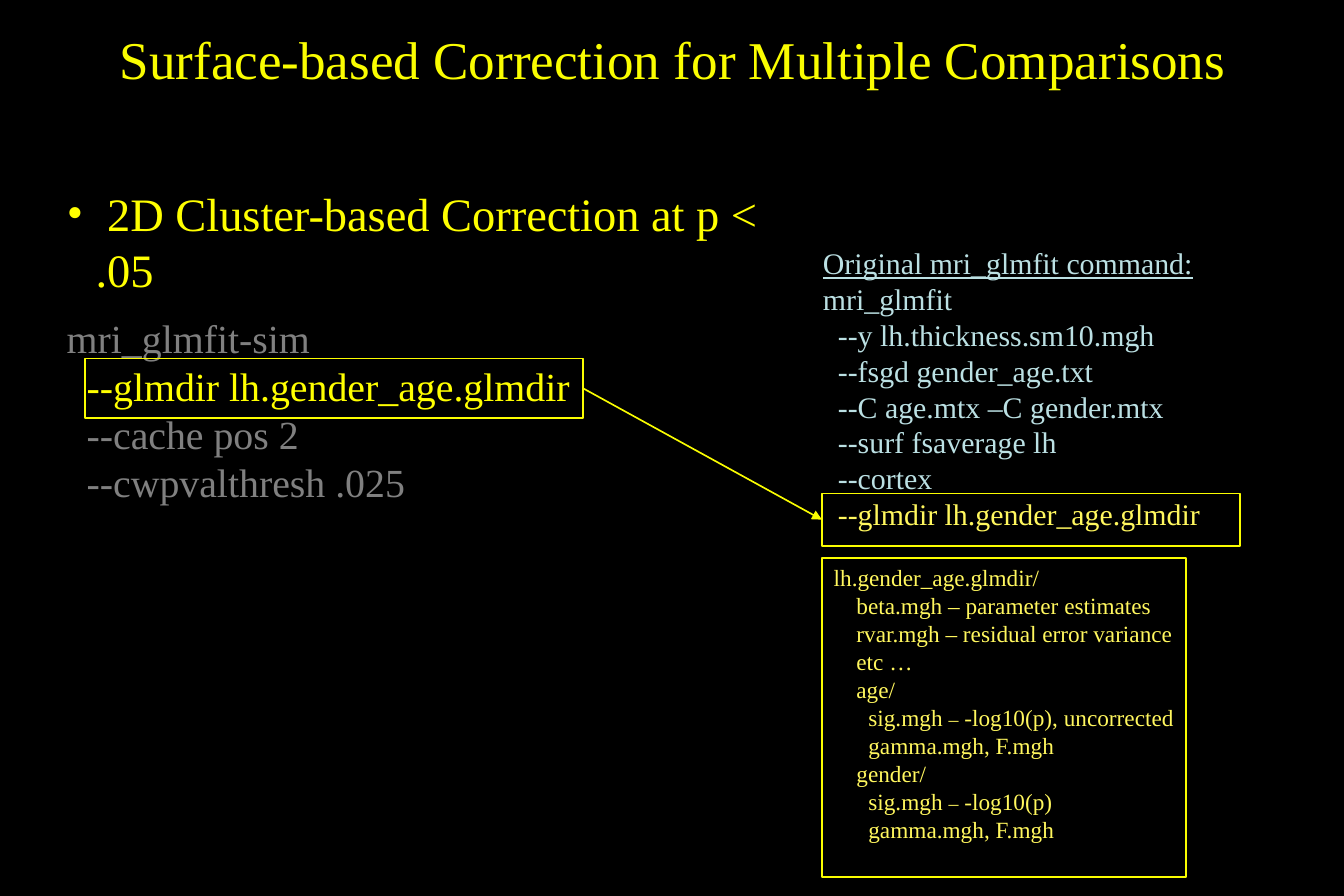
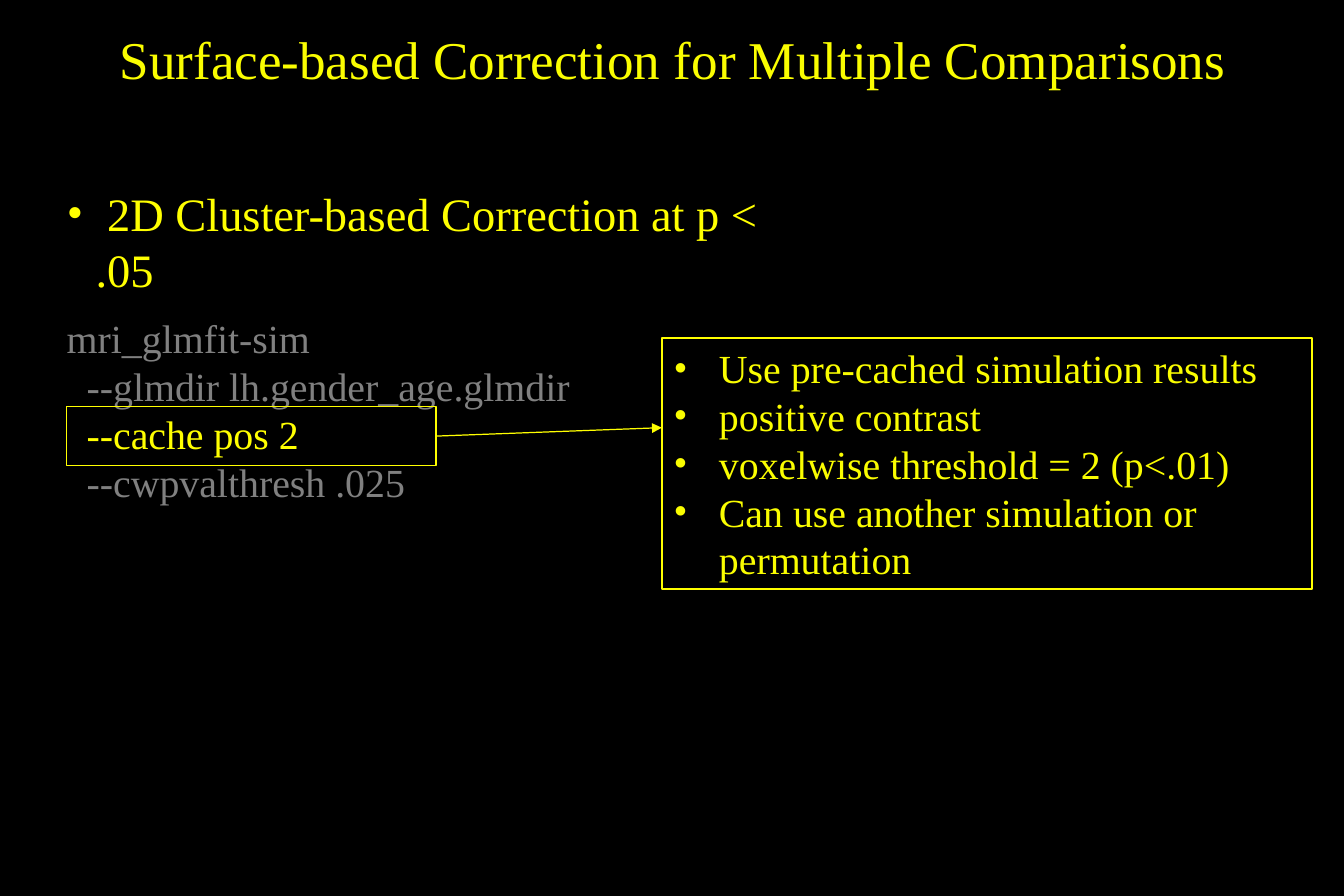
from dataclasses import dataclass
from typing import Optional, Sequence

from lxml import etree
from pptx import Presentation
from pptx.dml.color import RGBColor
from pptx.enum.shapes import MSO_CONNECTOR, MSO_SHAPE
from pptx.enum.text import MSO_ANCHOR, MSO_AUTO_SIZE, PP_ALIGN
from pptx.oxml.ns import qn
from pptx.util import Inches, Pt

TOP, MIDDLE = MSO_ANCHOR.TOP, MSO_ANCHOR.MIDDLE
LEFT, CENTER = PP_ALIGN.LEFT, PP_ALIGN.CENTER
RECT, STRAIGHT = MSO_SHAPE.RECTANGLE, MSO_CONNECTOR.STRAIGHT
NO_AUTOFIT = MSO_AUTO_SIZE.NONE


@dataclass(frozen=True)
class Theme:
    font: str = "Times New Roman"
    background: str = "000000"
    yellow: str = "FAFD00"
    bright: str = "FFFF00"
    pale: str = "FFF75E"
    blue: str = "BBE0E3"
    gray: str = "808080"
    title: int = 32
    heading: int = 28
    body: int = 24
    command: int = 18
    listing: int = 14
    dash: int = 12


THEME = Theme()


@dataclass(frozen=True)
class Box:
    left: float
    top: float
    width: float
    height: float

    def emu(self) -> list[int]:
        return [Inches(v) for v in (self.left, self.top, self.width, self.height)]


@dataclass(frozen=True)
class Span:
    text: str
    size: int
    color: str
    underline: bool = False


@dataclass(frozen=True)
class Para:
    spans: Sequence[Span]
    margin: float = 0
    bullet: Optional[str] = None
    align: PP_ALIGN = LEFT


TITLE = "Surface-based Correction for Multiple Comparisons"
HEADING = " 2D Cluster-based Correction at p < .05"
SIM_COMMAND = (
    "mri_glmfit-sim",
    "  --glmdir lh.gender_age.glmdir",
    "  --cache pos 2",
    "  --cwpvalthresh .025",
)
FIT_COMMAND = (
    "mri_glmfit",
    "  --y lh.thickness.sm10.mgh",
    "  --fsgd gender_age.txt",
    "  --C age.mtx –C gender.mtx",
    "  --surf fsaverage lh",
    "  --cortex",
)
OUTPUT_TREE = (
    (0, "lh.gender_age.glmdir/"),
    (0.19, "beta.mgh – parameter estimates"),
    (0.19, "rvar.mgh – residual error variance"),
    (0.19, "etc …"),
    (0.19, "age/"),
    (0.29, "sig.mgh – -log10(p), uncorrected"),
    (0.29, "gamma.mgh, F.mgh"),
    (0.19, "gender/"),
    (0.29, "sig.mgh – -log10(p)"),
    (0.29, "gamma.mgh, F.mgh"),
)
CACHE_NOTES = (
    "Use pre-cached simulation results",
    "positive contrast",
    "voxelwise threshold = 2 (p<.01)",
    "Can use another simulation or permutation",
)


def line(text: str, size: int, color: str, **layout) -> Para:
    """Make a paragraph with a single run."""
    return Para([Span(text, size, color)], **layout)


def set_indent(p, para: Para) -> None:
    pPr = p._p.get_or_add_pPr()
    margin = Inches(para.margin)
    pPr.set("marL", str(margin))
    pPr.set("indent", str(-margin if para.bullet else 0))
    if para.bullet:
        color = etree.SubElement(pPr, qn("a:buClr"))
        etree.SubElement(color, qn("a:srgbClr"), val=para.bullet)
        etree.SubElement(pPr, qn("a:buFont"), typeface=THEME.font)
        etree.SubElement(pPr, qn("a:buChar"), char="•")
    else:
        etree.SubElement(pPr, qn("a:buNone"))


def write(sp, paras: Sequence[Para], wrap: bool = True, anchor: MSO_ANCHOR = TOP) -> None:
    tf = sp.text_frame
    frame_format = {
        "auto_size": NO_AUTOFIT, "word_wrap": wrap, "vertical_anchor": anchor,
        "margin_left": Inches(0.1), "margin_right": Inches(0.1),
        "margin_top": Inches(0.05), "margin_bottom": Inches(0.05),
    }
    for name, value in frame_format.items():
        setattr(tf, name, value)
    for i, para in enumerate(paras):
        p = tf.paragraphs[0] if i == 0 else tf.add_paragraph()
        set_indent(p, para)
        p.alignment = para.align
        p.space_before = Pt(0)
        for span in para.spans:
            r = p.add_run()
            r.text = span.text
            run_format = {"name": THEME.font, "size": Pt(span.size), "underline": span.underline}
            for name, value in run_format.items():
                setattr(r.font, name, value)
            r.font.color.rgb = RGBColor.from_string(span.color)


def place(sp, box: Box) -> None:
    for name, value in zip(("left", "top", "width", "height"), box.emu()):
        setattr(sp, name, value)


def add_text(slide, box: Box, paras: Sequence[Para], anchor: MSO_ANCHOR = TOP) -> None:
    write(slide.shapes.add_textbox(*box.emu()), paras, anchor=anchor)


def add_frame(slide, box: Box, color: str, weight: float = 1,
              paras: Sequence[Para] = (), wrap: bool = True) -> None:
    """Draw an outlined rectangle, with text if given."""
    sp = slide.shapes.add_shape(RECT, *box.emu())
    sp.shadow.inherit = False
    sp.fill.background()
    sp.line.color.rgb = RGBColor.from_string(color)
    sp.line.width = Pt(weight)
    if paras:
        write(sp, paras, wrap)


def add_arrow(slide, start: tuple[float, float], end: tuple[float, float],
              color: str, weight: float = 1) -> None:
    sp = slide.shapes.add_connector(STRAIGHT, *(Inches(v) for v in (*start, *end)))
    sp.line.color.rgb = RGBColor.from_string(color)
    sp.line.width = Pt(weight)
    etree.SubElement(sp.line._get_or_add_ln(), qn("a:tailEnd"), type="triangle")
    etree.SubElement(sp._element.spPr, qn("a:effectLst"))


def add_base_slide(prs, highlight: int):
    """Add a slide with title, heading and the command, one line highlighted."""
    slide = prs.slides.add_slide(prs.slide_layouts[1])
    title, body = slide.shapes.title, slide.placeholders[1]
    place(title, Box(0.9, 0.17, 9.47, 0.63))
    write(title, [line(TITLE, THEME.title, THEME.yellow, align=CENTER)], wrap=False)
    place(body, Box(0.46, 1.5, 6.46, 0.57))
    write(body, [line(HEADING, THEME.heading, THEME.bright, margin=0.24, bullet=THEME.bright)])
    add_text(slide, Box(0.46, 2.58, 4.58, 1.7), [
        line(text, THEME.body, THEME.bright if i == highlight else THEME.gray)
        for i, text in enumerate(SIM_COMMAND)])
    return slide


def tree_line(margin: float, text: str) -> Para:
    """Make a line of the output tree; the dash after sig.mgh is smaller."""
    size, color = THEME.listing, THEME.pale
    if not text.startswith("sig.mgh"):
        return line(text, size, color, margin=margin)
    name, dash, meaning = text.partition("–")
    return Para([Span(name, size, color), Span(dash, THEME.dash, color),
                 Span(meaning, size, color)], margin)


def add_glmdir_slide(prs) -> None:
    slide = add_base_slide(prs, highlight=1)
    add_frame(slide, Box(0.71, 3, 4.17, 0.5), THEME.yellow)
    add_arrow(slide, (4.88, 3.25), (6.88, 4.35), THEME.yellow)
    add_frame(slide, Box(6.88, 4.13, 3.5, 0.44), THEME.yellow)
    size = THEME.command
    add_text(slide, Box(6.79, 2, 3.58, 2.5), [
        Para([Span("Original mri_glmfit command:", size, THEME.blue, underline=True)]),
        *(line(text, size, THEME.blue) for text in FIT_COMMAND),
        line(SIM_COMMAND[1], size, THEME.pale),
    ], anchor=MIDDLE)
    add_frame(slide, Box(6.88, 4.67, 3.05, 2.67), THEME.yellow,
              paras=[tree_line(*entry) for entry in OUTPUT_TREE], wrap=False)


def add_cache_slide(prs) -> None:
    slide = add_base_slide(prs, highlight=2)
    add_frame(slide, Box(0.56, 3.4, 3.09, 0.5), THEME.bright, 0.75)
    add_arrow(slide, (3.66, 3.65), (5.54, 3.58), THEME.bright, 0.75)
    add_frame(slide, Box(5.54, 2.83, 5.44, 2.1), THEME.bright, paras=[
        line(text, THEME.body, THEME.yellow, margin=0.38, bullet=THEME.yellow)
        for text in CACHE_NOTES])


def main() -> None:
    prs = Presentation()
    prs.slide_width, prs.slide_height = Inches(11.25), Inches(7.5)
    fill = prs.slide_master.background.fill
    fill.solid()
    fill.fore_color.rgb = RGBColor.from_string(THEME.background)
    add_glmdir_slide(prs)
    add_cache_slide(prs)
    prs.save("out.pptx")


if __name__ == "__main__":
    main()
